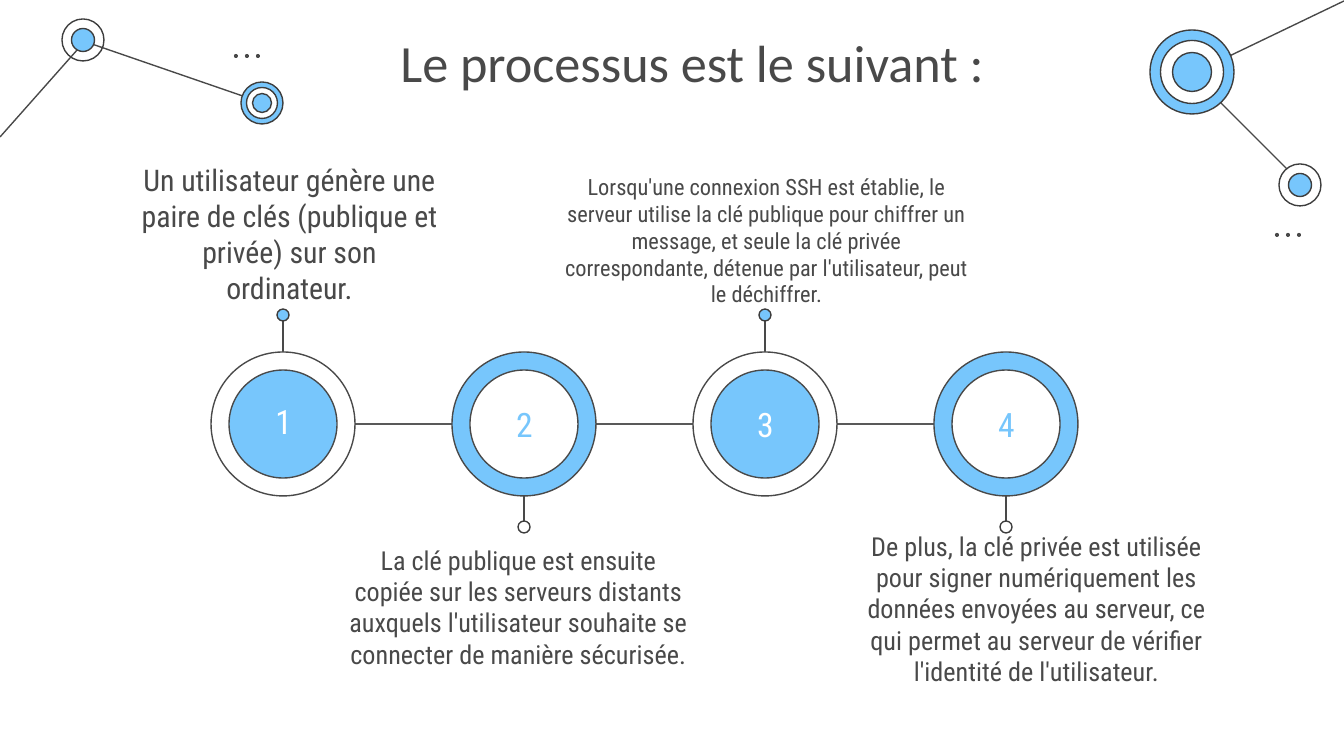
"""Build a four-step process slide about SSH keys."""
from lxml import etree
from pptx import Presentation
from pptx.dml.color import RGBColor
from pptx.enum.shapes import MSO_CONNECTOR, MSO_SHAPE
from pptx.enum.text import MSO_ANCHOR, PP_ALIGN
from pptx.oxml.ns import qn
from pptx.util import Emu, Pt

PX = 914400 / 134.4
COLORS = {
    "blue": "77C6FC",
    "white": "FFFFFF",
    "text": "494949",
    "outline": "3D3D3D",
    "link": "595959",
}

deck = Presentation()
deck.slide_width = Emu(round(1344 * PX))
deck.slide_height = Emu(round(756 * PX))
page = deck.slides.add_slide(deck.slide_layouts[6])


def add_line(start_x, start_y, end_x, end_y, color="text"):
    ends = [Emu(round(n * PX)) for n in (start_x, start_y, end_x, end_y)]
    line = page.shapes.add_connector(MSO_CONNECTOR.STRAIGHT, *ends)
    line.line.color.rgb = RGBColor.from_string(COLORS[color])
    line.line.width = Pt(0.75)
    etree.SubElement(line._element.spPr, qn("a:effectLst"))


def add_circle(center_x, center_y, size, fill, outline="outline"):
    left, top = center_x - size / 2, center_y - size / 2
    frame = [Emu(round(n * PX)) for n in (left, top, size, size)]
    circle = page.shapes.add_shape(MSO_SHAPE.OVAL, *frame)
    circle.shadow.inherit = False
    if fill:
        circle.fill.solid()
        circle.fill.fore_color.rgb = RGBColor.from_string(COLORS[fill])
    else:
        circle.fill.background()
    if outline:
        circle.line.color.rgb = RGBColor.from_string(COLORS[outline])
        circle.line.width = Pt(0.75)
    else:
        circle.line.fill.background()


for ends in [
    (1301, 183, 1192, 74),
    (86, 42, 263, 103),
    (0, 137, 86, 40),
    (1344, 1, 1192, 74),
]:
    add_line(*ends)

for center_x, center_y, rings in [
    (83, 40, [(42, None), (23, "blue")]),
    (262, 103, [(42, "blue"), (31, "white"), (19, "blue")]),
    (1192, 72, [(84, "blue"), (63, "white"), (39, "blue")]),
    (1300, 185, [(42, "white"), (23, "blue")]),
]:
    for size, fill in rings:
        add_circle(center_x, center_y, size, fill)

for first_x, dot_y in [(236, 56), (1277, 235)]:
    for index in range(3):
        add_circle(first_x + 11 * index, dot_y, 4, "text", None)

FIRST_X, STEP, STEP_Y, OUTER, INNER = 283, 241, 424, 144, 108
texts = [
    ("Le processus est le suivant :", (288, 17, 808, 85), "Calibri", 28, "text", MSO_ANCHOR.TOP),
]
steps = [
    ("Un utilisateur génère une paire de clés (publique et privée) sur son ordinateur.",
     (126, 149, 327, 172), 16),
    ("La clé publique est ensuite copiée sur les serveurs distants auxquels "
     "l'utilisateur souhaite se connecter de manière sécurisée.",
     (334, 531, 369, 93), 14),
    ("Lorsqu'une connexion SSH est établie, le serveur utilise la clé publique pour "
     "chiffrer un message, et seule la clé privée correspondante, détenue par "
     "l'utilisateur, peut le déchiffrer.",
     (550, 160, 433, 161), 12),
    ("De plus, la clé privée est utilisée pour signer numériquement les données "
     "envoyées au serveur, ce qui permet au serveur de vérifier l'identité de l'utilisateur.",
     (843, 517, 387, 93), 14),
]

for index, (words, frame, size) in enumerate(steps):
    center_x = FIRST_X + STEP * index
    above = index % 2 == 0
    outer_fill, inner_fill = ("white", "blue") if above else ("blue", "white")
    stem_end = 315 if above else 527
    if index < len(steps) - 1:
        add_line(center_x + OUTER // 2, STEP_Y, center_x + STEP - OUTER // 2, STEP_Y, "link")
    add_line(center_x, STEP_Y, center_x, stem_end)
    add_circle(center_x, STEP_Y, OUTER, outer_fill, "text")
    add_circle(center_x, STEP_Y, INNER, inner_fill, "text")
    add_circle(center_x, stem_end, 12, inner_fill)
    number_top = 400 if index == 0 else 403
    texts.append((words, frame, "Roboto Condensed", size, "text", MSO_ANCHOR.TOP))
    texts.append((str(index + 1), (center_x - 51, number_top, 103, 42),
                  "Roboto Condensed", 18, outer_fill, MSO_ANCHOR.MIDDLE))

for words, frame, font, size, color, anchor in texts:
    box = page.shapes.add_textbox(*[Emu(round(n * PX)) for n in frame])
    body = box.text_frame
    body.word_wrap = True
    body.vertical_anchor = anchor
    body.margin_left = body.margin_right = Emu(round(13 * PX))
    body.margin_top = body.margin_bottom = Emu(round(13 * PX))
    para = body.paragraphs[0]
    para.text = words
    para.alignment = PP_ALIGN.CENTER
    para.font.name = font
    para.font.size = Pt(size)
    para.font.color.rgb = RGBColor.from_string(COLORS[color])

deck.save("out.pptx")
